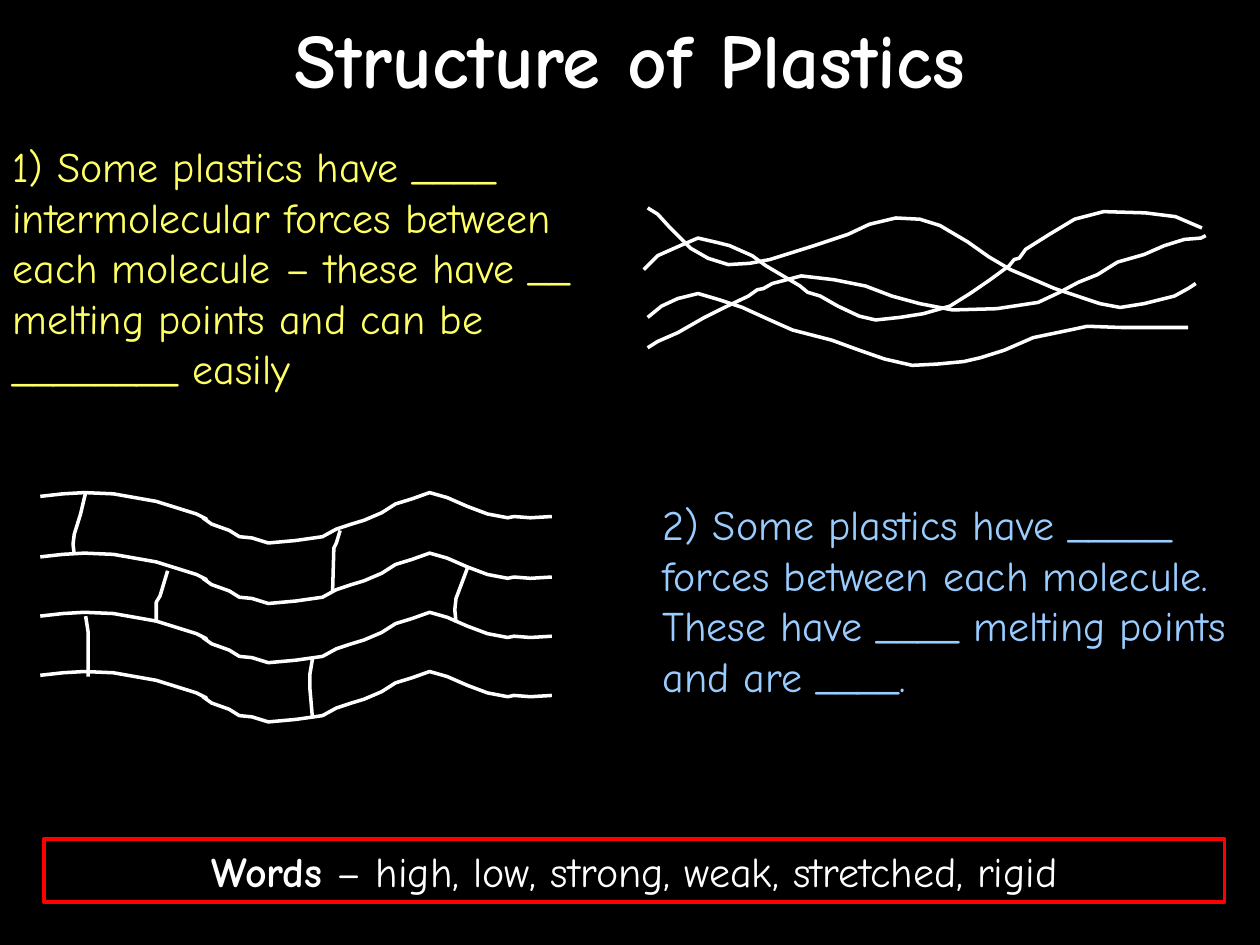
from pptx import Presentation
from pptx.dml.color import RGBColor
from pptx.enum.shapes import MSO_SHAPE
from pptx.enum.text import MSO_ANCHOR, PP_ALIGN
from pptx.util import Inches, Pt

RECT = MSO_SHAPE.RECTANGLE
MIDDLE, TOP = MSO_ANCHOR.MIDDLE, MSO_ANCHOR.TOP
LEFT, CENTER = PP_ALIGN.LEFT, PP_ALIGN.CENTER
HEX = {"black": "000000", "white": "FFFFFF", "yellow": "FFFF66",
       "blue": "99CCFF", "red": "FF0000"}
COLOR = {name: RGBColor.from_string(code) for name, code in HEX.items()}

deck = Presentation()
deck.slide_width, deck.slide_height = Inches(10), Inches(7.5)
slide = deck.slides.add_slide(deck.slide_layouts[6])
slide.background.fill.solid()
slide.background.fill.fore_color.rgb = COLOR["black"]


def write(shape, text, size, color, align=LEFT, anchor=TOP):
    frame = shape.text_frame
    frame.word_wrap = True
    frame.vertical_anchor = anchor
    para = frame.paragraphs[0]
    para.alignment = align
    para.font.name = "Comic Neue"
    para.font.size = Pt(size)
    para.font.color.rgb = COLOR[color]
    para.add_run().text = text
    return para


def trace(points, drop=0):
    (x, y), *rest = points
    pen = slide.shapes.build_freeform(x, y + drop, scale=Inches(0.01))
    pen.add_line_segments([(x, y + drop) for x, y in rest], close=False)
    line = pen.convert_to_shape()
    line.shadow.inherit = False
    line.fill.background()
    line.line.color.rgb = COLOR["white"]
    line.line.width = Pt(2)


box = slide.shapes.add_textbox(0, 0, Inches(10), Inches(0.91))
title = write(box, "Structure of Plastics", 44, "white", CENTER, MIDDLE)
title.font.bold = True

notes = [
    (0, 1.07, 2.1, "yellow",
     "1) Some plastics have ____ intermolecular forces between each molecule "
     "– these have __ melting points and can be ________ easily"),
    (5.16, 3.91, 1.7, "blue",
     "2) Some plastics have _____ forces between each molecule. "
     "These have ____ melting points and are ____."),
]
for x, y, high, color, text in notes:
    box = slide.shapes.add_textbox(Inches(x), Inches(y), Inches(4.84), Inches(high))
    write(box, text, 24, color)

strands = [
    [(511, 214), (517, 208), (522, 203), (540, 195), (554, 189), (567, 192),
     (579, 195), (597, 203), (608, 211), (635, 227), (641, 232), (651, 235),
     (665, 243), (682, 251), (695, 254), (714, 252), (733, 249), (754, 243),
     (770, 233), (786, 222), (801, 211), (805, 206), (809, 205), (814, 198),
     (833, 186), (853, 174), (876, 168), (909, 169), (933, 172), (954, 181)],
    [(514, 165), (522, 170), (532, 181), (548, 197), (562, 205), (578, 210),
     (595, 209), (611, 206), (646, 195), (673, 186), (690, 178), (711, 173),
     (730, 174), (746, 179), (768, 192), (785, 204), (802, 214), (837, 229),
     (873, 241), (889, 244), (908, 241), (932, 235), (943, 229), (949, 225)],
    [(514, 252), (525, 243), (538, 237), (554, 233), (571, 238), (589, 244),
     (611, 254), (629, 262), (660, 270), (682, 278), (702, 285), (724, 290),
     (744, 289), (765, 287), (778, 284), (797, 278), (820, 268), (849, 262),
     (863, 259), (890, 260), (943, 260)],
    [(514, 276), (522, 271), (538, 264), (559, 252), (575, 244), (594, 235),
     (601, 230), (606, 229), (613, 225), (636, 219), (662, 222), (687, 227),
     (708, 235), (730, 241), (756, 246), (791, 245), (824, 240), (841, 232),
     (856, 224), (871, 218), (887, 208), (908, 202), (924, 195), (940, 190),
     (953, 189), (957, 187)],
]
for strand in strands:
    trace(strand)

wave = [(32, 394), (50, 392), (67, 391), (90, 392), (124, 398), (156, 408),
        (164, 412), (161, 411), (168, 416), (182, 421), (190, 426), (200, 427),
        (213, 431), (235, 429), (256, 426), (267, 420), (279, 416), (289, 413),
        (303, 407), (314, 400), (327, 396), (341, 391), (355, 395), (371, 402),
        (387, 408), (403, 411), (408, 410), (421, 411), (438, 410)]
for drop in (0, 48, 95, 142):
    trace(wave, drop)

links = [
    [(68, 391), (64, 408), (59, 424), (58, 432), (59, 440)],
    [(270, 421), (267, 431), (265, 435), (264, 469)],
    [(133, 453), (127, 473), (124, 478), (124, 494)],
    [(371, 451), (362, 475), (361, 484), (362, 494)],
    [(68, 489), (70, 502), (70, 537)],
    [(248, 523), (246, 535), (246, 547), (248, 570)],
]
for link in links:
    trace(link)

bank = slide.shapes.add_shape(RECT, Inches(0.35), Inches(6.66), Inches(9.37), Inches(0.5))
bank.shadow.inherit = False
bank.fill.background()
bank.line.color.rgb = COLOR["red"]
bank.line.width = Pt(2)
words = write(bank, "Words", 24, "white", CENTER)
words.runs[0].font.bold = True
words.add_run().text = " – high, low, strong, weak, stretched, rigid"

deck.save("out.pptx")
